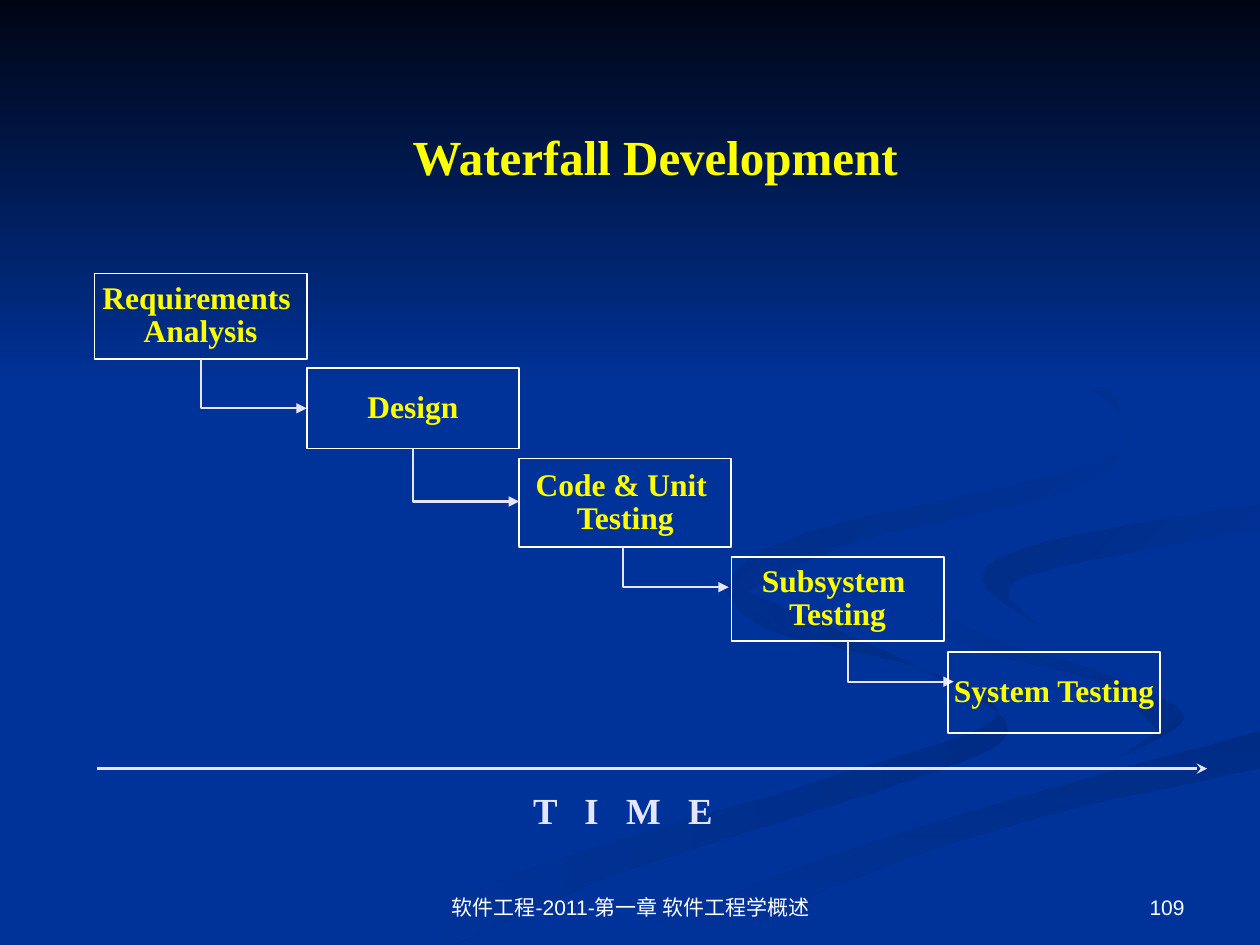
from dataclasses import dataclass

from lxml import etree
from pptx import Presentation
from pptx.dml.color import RGBColor
from pptx.enum.shapes import MSO_CONNECTOR, MSO_SHAPE
from pptx.enum.text import MSO_ANCHOR, PP_ALIGN
from pptx.oxml.ns import qn
from pptx.util import Inches, Pt

RECTANGLE = MSO_SHAPE.RECTANGLE
STRAIGHT, ELBOW = MSO_CONNECTOR.STRAIGHT, MSO_CONNECTOR.ELBOW
TOP, MIDDLE, BOTTOM = MSO_ANCHOR.TOP, MSO_ANCHOR.MIDDLE, MSO_ANCHOR.BOTTOM
LEFT, CENTER, RIGHT = PP_ALIGN.LEFT, PP_ALIGN.CENTER, PP_ALIGN.RIGHT


@dataclass(frozen=True)
class Theme:
    blue: str = "003399"
    shade: str = "002C85"
    night: str = "000514"
    yellow: str = "FFFF00"
    pale: str = "E5E5FF"
    white: str = "FFFFFF"
    serif: str = "Times New Roman"
    sans: str = "Arial"
    title: int = 28
    axis: int = 21
    step: int = 18
    footer: int = 12


THEME = Theme()
SLIDE_WIDTH, SLIDE_HEIGHT = 10, 7.5

# The staircase: one column and about one row further for each step
GRID_LEFT, GRID_TOP = 0.75, 2.17
COLUMN, ROW = 1.685, 0.75
# text, column, row, height, shift of the arrow from the centre, drop of the arrow
STEPS = [
    ("Requirements \nAnalysis", 0, 0, 0.68, 0, 0.39),
    ("Design", 1, 1, 0.64, 0, 0.42),
    ("Code & Unit \nTesting", 2, 1.96, 0.7, -0.02, 0.32),
    ("Subsystem \nTesting", 3, 3, 0.67, 0.08, 0.32),
    ("System Testing", 4.02, 4.01, 0.64, 0, None),
]

# Background ribbons: first colour, last colour, angle, and the two curved
# edges between the ends, in hundredths of the slide's width
RIBBONS = [
    (THEME.shade, THEME.blue, 180,
     [(57, 46), (61, 50), (73, 53), (79, 57), (65, 62), (42, 69), (30, 75)],
     [(36, 75), (50, 69), (72, 62), (80, 58), (73, 53), (57, 46)]),
    (THEME.shade, THEME.blue, 225,
     [(72, 46), (77, 50), (89, 54), (94, 57), (89, 60)],
     [(92, 58), (87, 54), (76, 51), (72, 46)]),
    (THEME.shade, THEME.blue, 90,
     [(50, 75), (63, 69), (82, 63), (100, 58)],
     [(100, 61), (82, 65), (67, 70), (57, 75)]),
    (THEME.blue, THEME.shade, 225,
     [(83, 50), (78, 46), (83, 43), (100, 40)],
     [(100, 42), (84, 45), (80, 47), (83, 50)]),
    (THEME.blue, THEME.shade, 225,
     [(76, 23), (89, 33), (86, 37), (65, 42), (58, 46), (62, 50)],
     [(59, 47), (68, 43), (87, 38), (88, 31), (76, 23)]),
]
CURVE_STEPS = 6


def rgb(value):
    return RGBColor.from_string(value)


def apply_format(target, values):
    for name, value in values.items():
        setattr(target, name, value)


def write(frame, text, size, color, font=THEME.serif, bold=True, anchor=TOP,
          align=LEFT, spacing=1.0, wrap=True, margins=(0.1, 0.05)):
    side, edge = (Inches(margin) for margin in margins)
    apply_format(frame, {
        "word_wrap": wrap, "vertical_anchor": anchor, "margin_left": side,
        "margin_right": side, "margin_top": edge, "margin_bottom": edge,
        "text": text})
    for paragraph in frame.paragraphs:
        apply_format(paragraph, {"alignment": align, "line_spacing": spacing})
        apply_format(paragraph.font, {"name": font, "size": Pt(size), "bold": bold})
        paragraph.font.color.rgb = rgb(color)


def add_label(slide, left, top, width, height, text, size, color, **options):
    label = slide.shapes.add_textbox(*map(Inches, (left, top, width, height)))
    write(label.text_frame, text, size, color, **options)
    return label


def smooth(knots):
    """Points of a Catmull-Rom curve through the knots, ten units to one."""
    padded = [knots[0], *knots, knots[-1]]
    curve = []
    for section in zip(padded, padded[1:], padded[2:], padded[3:]):
        for step in range(CURVE_STEPS):
            t = step / CURVE_STEPS
            curve.append(tuple(
                5 * (2 * b + (c - a) * t + (2 * a - 5 * b + 4 * c - d) * t ** 2
                     + (3 * b - a - 3 * c + d) * t ** 3)
                for a, b, c, d in zip(*section)))
    return curve + [tuple(10 * value for value in knots[-1])]


def fill_gradient(shape, first, last, angle):
    shape.shadow.inherit = False
    shape.line.fill.background()
    shape.fill.gradient()
    shape.fill.gradient_angle = 360 - angle
    for stop, color in zip(shape.fill.gradient_stops, (first, last)):
        stop.color.rgb = rgb(color)


def add_ribbon(slide, first, last, angle, outward, back):
    outline = smooth(outward) + smooth(back)
    builder = slide.shapes.build_freeform(
        *outline[0], scale=Inches(SLIDE_WIDTH) / 1000)
    builder.add_line_segments(outline[1:], close=True)
    fill_gradient(builder.convert_to_shape(), first, last, angle)


def add_backdrop(slide):
    slide.background.fill.solid()
    slide.background.fill.fore_color.rgb = rgb(THEME.blue)
    for ribbon in RIBBONS:
        add_ribbon(slide, *ribbon)
    sky = slide.shapes.add_shape(
        RECTANGLE, 0, 0, Inches(SLIDE_WIDTH), Inches(0.41 * SLIDE_HEIGHT))
    fill_gradient(sky, THEME.night, THEME.blue, 90)


def add_step(slide, left, top, height, text):
    step = slide.shapes.add_shape(
        RECTANGLE, *map(Inches, (left, top, COLUMN, height)))
    step.shadow.inherit = False
    step.fill.background()
    step.line.color.rgb = rgb(THEME.white)
    step.line.width = Pt(1)
    write(step.text_frame, text, THEME.step, THEME.yellow, anchor=MIDDLE,
          align=CENTER, spacing=0.87, wrap=False, margins=(0.09, 0.04))


def add_arrow(slide, kind, start, end, width, head):
    arrow = slide.shapes.add_connector(kind, *map(Inches, (*start, *end)))
    arrow.line.color.rgb = rgb(THEME.pale)
    arrow.line.width = Pt(width)
    properties = arrow._element.spPr
    etree.SubElement(properties.find(qn("a:ln")), qn("a:tailEnd"), type=head)
    etree.SubElement(properties, qn("a:effectLst"))
    return arrow


def add_drop_arrow(slide, x, y, run, drop):
    """Arrow that goes down first and then right: a turned, flipped elbow."""
    middle_x, middle_y = x + run / 2, y + drop / 2
    arrow = add_arrow(slide, ELBOW,
                      (middle_x - drop / 2, middle_y - run / 2),
                      (middle_x + drop / 2, middle_y + run / 2), 1.25, "triangle")
    properties = arrow._element.spPr
    properties.find(qn("a:prstGeom")).set("prst", "bentConnector2")
    frame = properties.find(qn("a:xfrm"))
    frame.set("rot", str(270 * 60000))
    frame.set("flipH", "1")


def add_staircase(slide):
    for text, column, row, height, shift, drop in STEPS:
        left, top = GRID_LEFT + column * COLUMN, GRID_TOP + row * ROW
        add_step(slide, left, top, height, text)
        if drop:
            add_drop_arrow(slide, left + COLUMN / 2 + shift, top + height,
                           COLUMN / 2, drop)


def add_time_axis(slide):
    add_arrow(slide, STRAIGHT, (0.77, 6.1), (9.58, 6.1), 2, "stealth")
    caption = add_label(slide, 4.14, 6.25, 1.61, 0.4, "T I M E", THEME.axis,
                        THEME.pale, spacing=0.9, wrap=False, margins=(0.09, 0.04))
    letters = caption.text_frame.paragraphs[0].runs[0]
    letters._r.get_or_add_rPr().set("spc", "525")


def add_footer(slide):
    for left, width, text, align in [
            (3.42, 3.17, "软件工程-2011-第一章 软件工程学概述", CENTER),
            (7.17, 2.33, "109", RIGHT)]:
        add_label(slide, left, 6.83, width, 0.52, text, THEME.footer, THEME.white,
                  font=THEME.sans, bold=False, anchor=BOTTOM, align=align)


def main():
    deck = Presentation()
    apply_format(deck, {"slide_width": Inches(SLIDE_WIDTH),
                        "slide_height": Inches(SLIDE_HEIGHT)})
    slide = deck.slides.add_slide(deck.slide_layouts[6])
    add_backdrop(slide)
    add_label(slide, 0.67, 0.6, 9.06, 0.92, "Waterfall Development", THEME.title,
              THEME.yellow, anchor=BOTTOM, align=CENTER)
    add_time_axis(slide)
    add_staircase(slide)
    add_footer(slide)
    deck.save("out.pptx")


if __name__ == "__main__":
    main()
